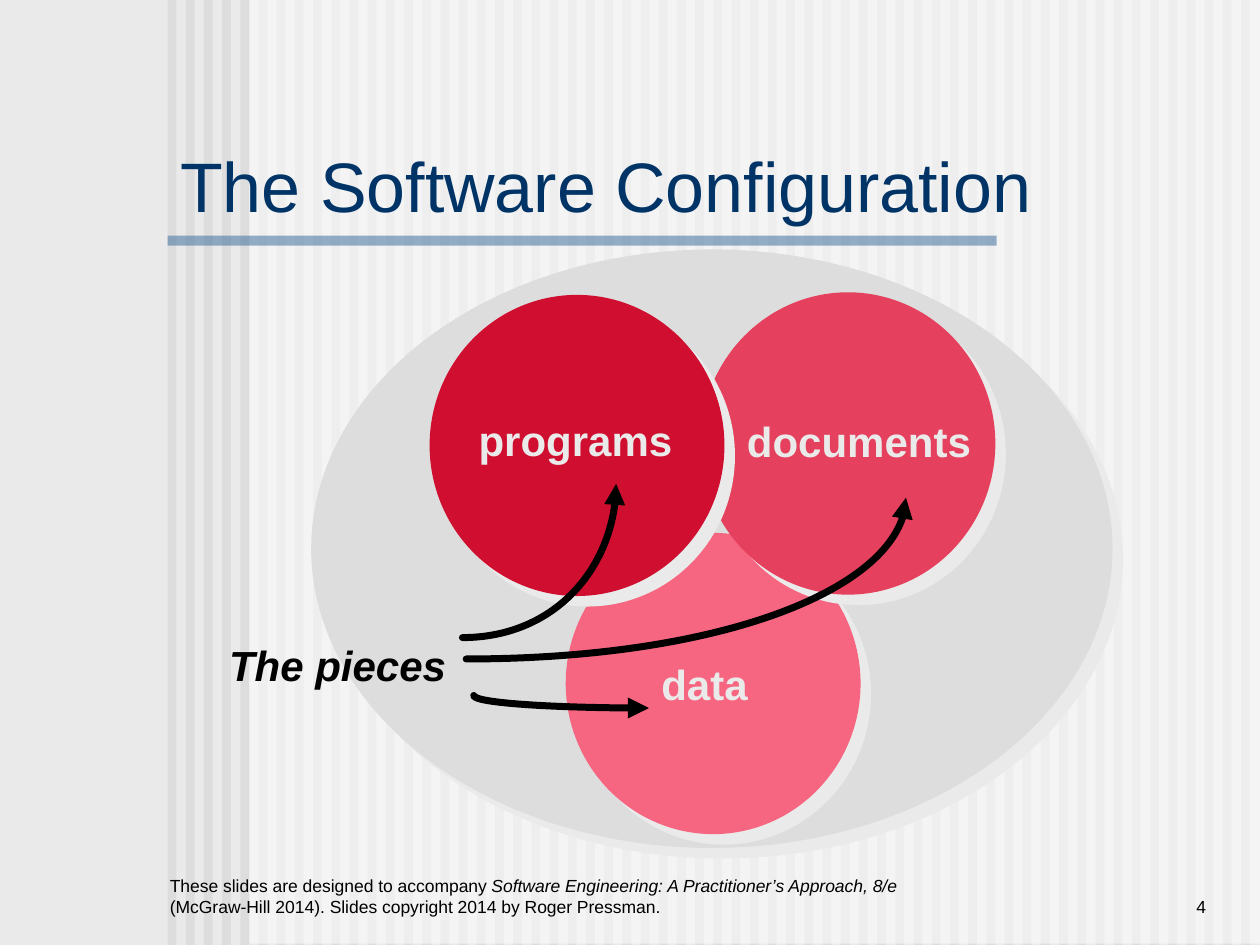
from lxml import etree
from pptx import Presentation
from pptx import util as u
from pptx.dml.color import RGBColor
from pptx.enum import shapes, text
from pptx.oxml import parse_xml
from pptx.oxml.ns import nsdecls, qn

BLACK = RGBColor(0x00, 0x00, 0x00)
WHITE = RGBColor(0xFF, 0xFF, 0xFF)
PALE = RGBColor(0xEA, 0xEA, 0xEA)
GREY = RGBColor(0xDD, 0xDD, 0xDD)
NAVY = RGBColor(0x00, 0x33, 0x66)
BLUE = RGBColor(0x33, 0x66, 0x99)
PINK = RGBColor(0xF7, 0x66, 0x81)
ROSE = RGBColor(0xE5, 0x40, 0x5D)
RED = RGBColor(0xCF, 0x0E, 0x30)
CURVE = 0.55


def add_block(kind, place, color, opacity=100):
    block = slide.shapes.add_shape(kind, *map(u.Inches, place))
    block.shadow.inherit = False
    block.fill.solid()
    block.fill.fore_color.rgb = color
    block.line.fill.background()
    if opacity < 100:
        tint = block.fill._xPr.find(".//" + qn("a:srgbClr"))
        etree.SubElement(tint, qn("a:alpha"), val=str(opacity * 1000))
    return block


def write(box, place, spans, size, color, frame_format, align=text.PP_ALIGN.LEFT, bold=False):
    box.left, box.top, box.width, box.height = map(u.Inches, place)
    frame = box.text_frame
    frame.auto_size = text.MSO_AUTO_SIZE.NONE
    for name, value in frame_format.items():
        setattr(frame, name, value)
    para = frame.paragraphs[0]
    para.alignment = align
    for words, italic in spans:
        span = para.add_run()
        span.text = words
        span.font.color.rgb = color
        style = {"name": "Arial", "size": u.Pt(size), "bold": bold, "italic": italic}
        for name, value in style.items():
            setattr(span.font, name, value)


deck = Presentation()
deck.slide_width, deck.slide_height = u.Inches(10), u.Inches(7.5)
slide = deck.slides.add_slide(deck.slide_layouts[5])
slide.background.fill.solid()
slide.background.fill.fore_color.rgb = PALE

RECT, OVAL = shapes.MSO_SHAPE.RECTANGLE, shapes.MSO_SHAPE.OVAL
stripe_count, first_stripe, last_stripe = 60, 1.33, 9.85
stripe_step = (last_stripe - first_stripe) / (stripe_count - 1)
for index in range(stripe_count):
    add_block(RECT, (first_stripe + index * stripe_step, 0, 0.07, 7.5), GREY)
add_block(RECT, (1.98, 0, 8.02, 7.49), WHITE, 50)
add_block(RECT, (1.33, 1.87, 6.58, 0.08), BLUE, 50)

footer_format = {"word_wrap": True, "vertical_anchor": text.MSO_ANCHOR.BOTTOM}
title_format = {"word_wrap": True, "vertical_anchor": text.MSO_ANCHOR.MIDDLE}
label_format = {
    "word_wrap": False,
    "vertical_anchor": text.MSO_ANCHOR.TOP,
    "auto_size": text.MSO_AUTO_SIZE.SHAPE_TO_FIT_TEXT,
}

number = slide.shapes.add_textbox(0, 0, 0, 0)
write(number, (8.25, 6.83, 1.42, 0.5), [("4", False)], 10, BLACK, footer_format,
      text.PP_ALIGN.RIGHT)

credit = slide.shapes.add_textbox(0, 0, 0, 0)
credit_spans = [
    ("These slides are designed to accompany ", False),
    ("Software Engineering: A Practitioner’s Approach, 8/e ", True),
    ("(McGraw-Hill 2014). Slides copyright 2014 by Roger Pressman.", False),
]
write(credit, (1.25, 6.83, 6, 0.5), credit_spans, 10, BLACK, footer_format)

title = slide.shapes.title
write(title, (1.33, 1.17, 7.53, 0.59), [("The Software Configuration", False)], 40, NAVY,
      title_format)
title._element.getparent().append(title._element)

ovals = [
    ((2.47, 1.98, 6.36, 4.75), GREY),
    ((4.49, 4.23, 2.34, 2.39), PINK),
    ((5.56, 2.32, 2.34, 2.4), ROSE),
    ((3.41, 2.34, 2.34, 2.39), RED),
]
for place, color in ovals:
    oval = add_block(OVAL, place, color)
    effects = oval._element.spPr.find(qn("a:effectLst"))
    effects.append(parse_xml(
        f'<a:outerShdw {nsdecls("a")} blurRad="0" dist="{u.Pt(8.5)}" dir="2700000" '
        f'algn="ctr" rotWithShape="0"><a:srgbClr val="{PALE}"/></a:outerShdw>'
    ))

labels = [
    ("programs", (3.7, 3.24, 1.76, 0.5), PALE, False),
    ("documents", (5.83, 3.25, 2, 0.5), PALE, False),
    ("data", (5.15, 5.18, 0.92, 0.5), PALE, False),
    ("The pieces", (1.72, 5.03, 1.94, 0.5), BLACK, True),
]
for words, place, color, italic in labels:
    label = slide.shapes.add_textbox(0, 0, 0, 0)
    write(label, place, [(words, italic)], 24, color, label_format, bold=True)

arrows = [
    ((5.15, 5.62), (3.76, 5.52), (3.76, 5.62)),
    ((7.19, 3.95), (3.7, 5.23), (7.19, 5.23)),
    ((4.89, 3.84), (3.67, 5.06), (4.89, 5.06)),
]
for tip, tail, corner in arrows:
    controls = [
        tuple(start + (bend - start) * CURVE for start, bend in zip(end, corner))
        for end in (tip, tail)
    ]
    points = [tuple(map(u.Inches, point)) for point in (tip, *controls, tail)]
    builder = slide.shapes.build_freeform(*points[0])
    builder.add_line_segments(points[1:], close=False)
    arrow = builder.convert_to_shape()
    outline = arrow._element.spPr.find(".//" + qn("a:path"))
    bezier = etree.SubElement(outline, qn("a:cubicBezTo"))
    for segment in outline.findall(qn("a:lnTo")):
        bezier.append(segment[0])
        outline.remove(segment)
    arrow.shadow.inherit = False
    arrow.fill.background()
    arrow.line.color.rgb = BLACK
    arrow.line.width = u.Pt(4)
    stroke = arrow.line._get_or_add_ln()
    stroke.set("cap", "rnd")
    etree.SubElement(stroke, qn("a:round"))
    etree.SubElement(stroke, qn("a:headEnd"), type="triangle")

deck.save("out.pptx")
